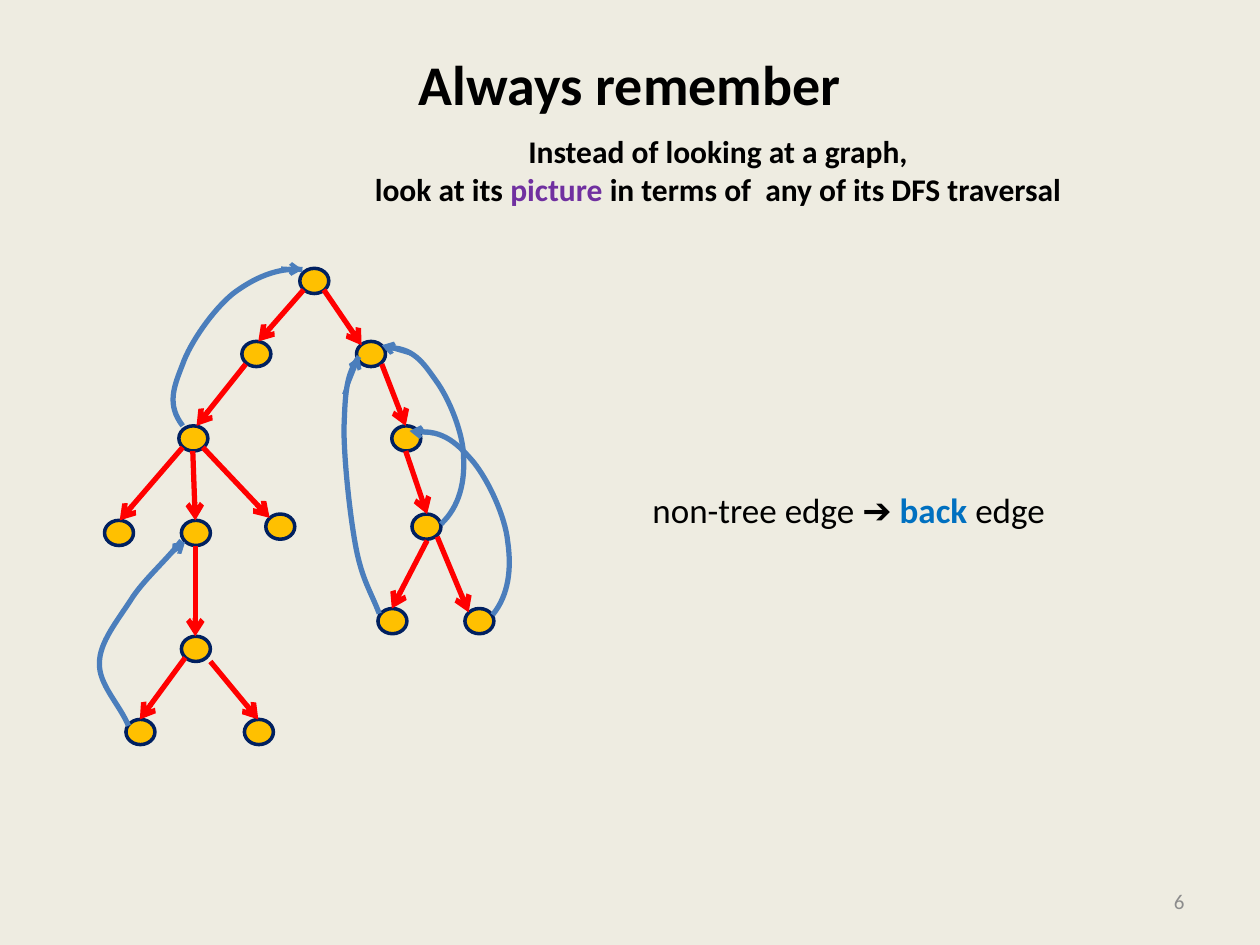
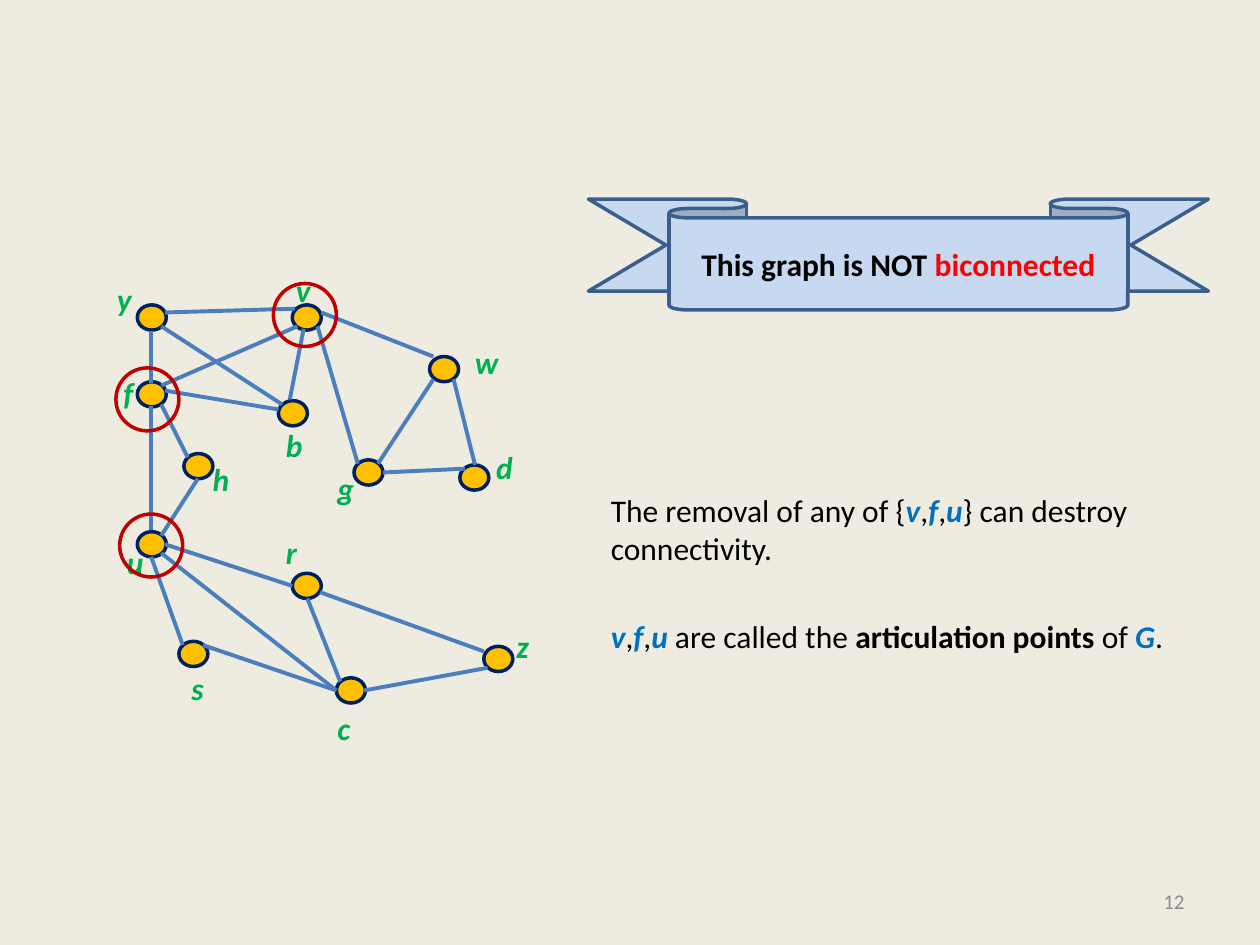
from dataclasses import dataclass
from typing import NamedTuple

from lxml import etree
from pptx import Presentation
from pptx.dml.color import RGBColor
from pptx.enum.shapes import MSO_CONNECTOR, MSO_SHAPE
from pptx.enum.text import MSO_ANCHOR, PP_ALIGN
from pptx.oxml.ns import qn
from pptx.util import Pt

PX = 9144
STRAIGHT = MSO_CONNECTOR.STRAIGHT
OVAL, RIBBON = MSO_SHAPE.OVAL, MSO_SHAPE.DOWN_RIBBON
TOP, MIDDLE = MSO_ANCHOR.TOP, MSO_ANCHOR.MIDDLE
LEFT, CENTER, RIGHT = PP_ALIGN.LEFT, PP_ALIGN.CENTER, PP_ALIGN.RIGHT
TITLE_ONLY, BLANK = 5, 6

FONT = "Calibri"
PAPER, BLACK, GRAY = "EEECE1", "000000", "8C8C8C"
GOLD, NAVY, RED, CRIMSON = "FFC000", "002060", "FF0000", "C00000"
BLUE, SKY, GREEN, PURPLE = "4B7EBC", "0070C0", "00B050", "7030A0"
PALE, STEEL = "C6D9F1", "3A5F8C"

NODE_W, NODE_H, RING = 23, 20, 50


class Box(NamedTuple):
    x: int
    y: int
    w: int
    h: int


class Edge(NamedTuple):
    x1: int
    y1: int
    x2: int
    y2: int


class Label(NamedTuple):
    text: str
    x: int
    y: int
    w: int


class Back(NamedTuple):
    curve: list[tuple]
    arrow: Edge


class Run(NamedTuple):
    text: str
    color: str = ""
    bold: bool = False
    italic: bool = False


@dataclass
class Style:
    size: int
    color: str = BLACK
    bold: bool = False
    italic: bool = False
    align: PP_ALIGN = LEFT
    gap: float = 0
    anchor: MSO_ANCHOR = TOP
    wrap: bool = True
    above: int = 5
    below: int = 5


TREE = [
    (238, 213), (192, 271), (283, 271), (142, 338), (144, 413), (211, 408),
    (144, 505), (100, 571), (194, 571), (83, 413), (311, 338), (327, 408),
    (369, 483), (300, 483),
]
TREE_EDGES = [
    Edge(241, 230, 205, 271), Edge(195, 289, 156, 338),
    Edge(145, 355, 95, 413), Edge(153, 358, 155, 413),
    Edge(161, 355, 214, 411), Edge(155, 433, 155, 505),
    Edge(167, 525, 205, 571), Edge(147, 522, 111, 571),
    Edge(347, 426, 372, 486), Edge(303, 289, 322, 338),
    Edge(322, 358, 339, 408), Edge(257, 230, 287, 274),
    Edge(339, 429, 311, 483),
]
BACKS = [
    Back([(391, 488), (404, 472), (406, 451), (403, 430), (401, 410),
          (388, 382), (376, 367), (364, 353), (352, 341), (331, 343)],
         Edge(344, 344, 325, 342)),
    Back([(240, 214), (220, 212), (201, 221), (185, 233), (169, 246),
          (151, 272), (145, 289), (138, 307), (132, 321), (145, 338)],
         Edge(223, 213, 240, 214)),
    Back([(102, 576), (95, 559), (78, 543), (79, 526), (79, 510),
          (93, 493), (104, 476), (114, 460), (133, 444), (144, 429)],
         Edge(135, 440, 147, 430)),
    Back([(301, 487), (294, 469), (288, 461), (283, 437), (278, 412),
          (273, 366), (273, 340), (274, 315), (274, 298), (285, 283)],
         Edge(273, 313, 285, 283)),
    Back([(350, 416), (365, 402), (369, 382), (368, 363), (368, 345),
          (357, 317), (346, 302), (336, 288), (328, 275), (306, 276)],
         Edge(327, 281, 303, 274)),
]

GRAPH = [
    (109, 242), (109, 303), (146, 360), (109, 422), (221, 318), (232, 455),
    (142, 509), (384, 513), (281, 365), (267, 538), (232, 242), (365, 369),
    (341, 283),
]
GRAPH_EDGES = [
    Edge(131, 432, 232, 465), Edge(131, 310, 221, 325),
    Edge(131, 248, 234, 245), Edge(120, 263, 120, 304),
    Edge(145, 512, 120, 442), Edge(120, 322, 120, 421),
    Edge(255, 248, 344, 283), Edge(377, 369, 360, 301),
    Edge(289, 548, 387, 530), Edge(128, 321, 149, 363),
    Edge(244, 475, 270, 541), Edge(304, 375, 369, 372),
    Edge(300, 368, 344, 301), Edge(128, 439, 267, 548),
    Edge(241, 261, 230, 317), Edge(384, 517, 254, 470),
    Edge(128, 259, 224, 321), Edge(236, 259, 128, 306),
    Edge(252, 259, 284, 368), Edge(157, 380, 128, 425),
    Edge(161, 512, 267, 548),
]
LABELS = [
    Label("z", 400, 493, 30), Label("y", 83, 217, 32), Label("c", 258, 558, 31),
    Label("d", 384, 351, 34), Label("b", 217, 333, 34), Label("f", 88, 292, 28),
    Label("g", 258, 367, 34), Label("h", 159, 360, 34), Label("u", 91, 426, 34),
    Label("w", 367, 267, 39), Label("v", 225, 210, 32), Label("r", 217, 418, 29),
    Label("s", 142, 526, 30),
]
RINGS = [(217, 225), (92, 292), (95, 408)]


def px(*sizes: int) -> list[int]:
    return [size * PX for size in sizes]


def rgb(color: str) -> RGBColor:
    return RGBColor.from_string(color)


def write(frame, paras: list[list[Run]], style: Style) -> None:
    frame.word_wrap = style.wrap
    frame.vertical_anchor = style.anchor
    frame.margin_top, frame.margin_bottom = px(style.above, style.below)
    for i, runs in enumerate(paras):
        para = frame.add_paragraph() if i else frame.paragraphs[0]
        para.alignment = style.align
        para.space_before = Pt(style.gap if i else 0)
        font = para.font
        font.name, font.size = FONT, Pt(style.size)
        font.bold, font.italic = style.bold, style.italic
        font.color.rgb = rgb(style.color)
        for part in runs:
            run = para.add_run()
            run.text = part.text
            if part.color:
                run.font.color.rgb = rgb(part.color)
            if part.bold:
                run.font.bold = True
            if part.italic:
                run.font.italic = True


def add_text(slide, box: Box, paras: list[list[Run]], style: Style) -> None:
    write(slide.shapes.add_textbox(*px(*box)).text_frame, paras, style)


def add_shape(slide, kind: MSO_SHAPE, box: Box, fill: str, line: str):
    shape = slide.shapes.add_shape(kind, *px(*box))
    shape.shadow.inherit = False
    if fill:
        shape.fill.solid()
        shape.fill.fore_color.rgb = rgb(fill)
    else:
        shape.fill.background()
    shape.line.color.rgb = rgb(line)
    shape.line.width = Pt(2)
    return shape


def add_line(slide, edge: Edge, color: str, width: float, arrow: bool) -> None:
    line = slide.shapes.add_connector(STRAIGHT, *px(*edge))
    line.line.color.rgb = rgb(color)
    line.line.width = Pt(width)
    props = line.element.spPr
    if arrow:
        etree.SubElement(props.find(qn("a:ln")), qn("a:tailEnd"), type="arrow")
    etree.SubElement(props, qn("a:effectLst"))


def add_graph(slide, nodes: list[tuple], edges: list[Edge],
              color: str, width: float, arrow: bool) -> None:
    for x, y in nodes:
        add_shape(slide, OVAL, Box(x, y, NODE_W, NODE_H), GOLD, NAVY)
    for edge in edges:
        add_line(slide, edge, color, width, arrow)


def bend(shape) -> None:
    track = next(shape.element.iter(qn("a:path")))
    legs = track.findall(qn("a:lnTo"))
    for i in range(0, len(legs), 3):
        cubic = etree.SubElement(track, qn("a:cubicBezTo"))
        for leg in legs[i:i + 3]:
            cubic.append(leg[0])
            track.remove(leg)


def add_back(slide, back: Back) -> None:
    start, *rest = (px(*point) for point in back.curve)
    form = slide.shapes.build_freeform(*start)
    form.add_line_segments(rest, close=False)
    curve = form.convert_to_shape()
    bend(curve)
    curve.shadow.inherit = False
    curve.fill.background()
    curve.line.color.rgb = rgb(BLUE)
    curve.line.width = Pt(3)
    add_line(slide, back.arrow, BLUE, 2.25, True)


def add_slide(deck, layout: int, number: int):
    slide = deck.slides.add_slide(deck.slide_layouts[layout])
    slide.background.fill.solid()
    slide.background.fill.fore_color.rgb = rgb(PAPER)
    add_text(slide, Box(717, 695, 233, 40), [[Run(str(number))]],
             Style(12, GRAY, align=RIGHT, anchor=MIDDLE))
    return slide


def tree_slide(deck) -> None:
    slide = add_slide(deck, TITLE_ONLY, 6)
    title = slide.shapes.title
    title.left, title.top, title.width, title.height = px(50, 30, 900, 125)
    write(title.text_frame, [[Run("Always remember")]],
          Style(32, bold=True, align=CENTER, anchor=MIDDLE, below=58))
    add_text(slide, Box(508, 175, 442, 495), [
        [Run("non-tree edge ➔ "), Run("back ", SKY, True), Run("edge")],
    ], Style(20, above=213))
    add_graph(slide, TREE, TREE_EDGES, RED, 3, True)
    add_text(slide, Box(285, 100, 570, 71), [
        [Run("Instead of looking at a graph,")],
        [Run("look at its "), Run("picture", PURPLE),
         Run(" in terms of  any of its DFS traversal")],
    ], Style(18, bold=True, align=CENTER, wrap=False))
    for back in BACKS:
        add_back(slide, back)


def cut_slide(deck) -> None:
    slide = add_slide(deck, BLANK, 12)
    v, f, u, g = (Run(name, SKY, True, True) for name in ("v", "f", "u", "G"))
    comma = Run(",")
    add_text(slide, Box(475, 175, 500, 495), [
        [Run("The removal of any of {"), v, comma, f, comma, u,
         Run("} can destroy connectivity.")],
        [v, comma, f, comma, u, Run(" are called the "),
         Run("articulation points ", bold=True), Run("of "), g, Run(".")],
    ], Style(18, gap=28.3, above=215))
    add_graph(slide, GRAPH, GRAPH_EDGES, BLUE, 2.25, False)
    for label in LABELS:
        add_text(slide, Box(label.x, label.y, label.w, 40), [[Run(label.text)]],
                 Style(18, GREEN, True, True, wrap=False))
    sign = add_shape(slide, RIBBON, Box(467, 158, 492, 88), PALE, STEEL)
    sign.adjustments[0], sign.adjustments[1] = 0.17, 0.74
    write(sign.text_frame, [[Run("This graph is NOT "), Run("biconnected", RED)]],
          Style(18, bold=True, align=CENTER, anchor=MIDDLE))
    for x, y in RINGS:
        add_shape(slide, OVAL, Box(x, y, RING, RING), "", CRIMSON)


def main() -> None:
    deck = Presentation()
    deck.slide_width, deck.slide_height = px(1000, 750)
    tree_slide(deck)
    cut_slide(deck)
    deck.save("out.pptx")


if __name__ == "__main__":
    main()
